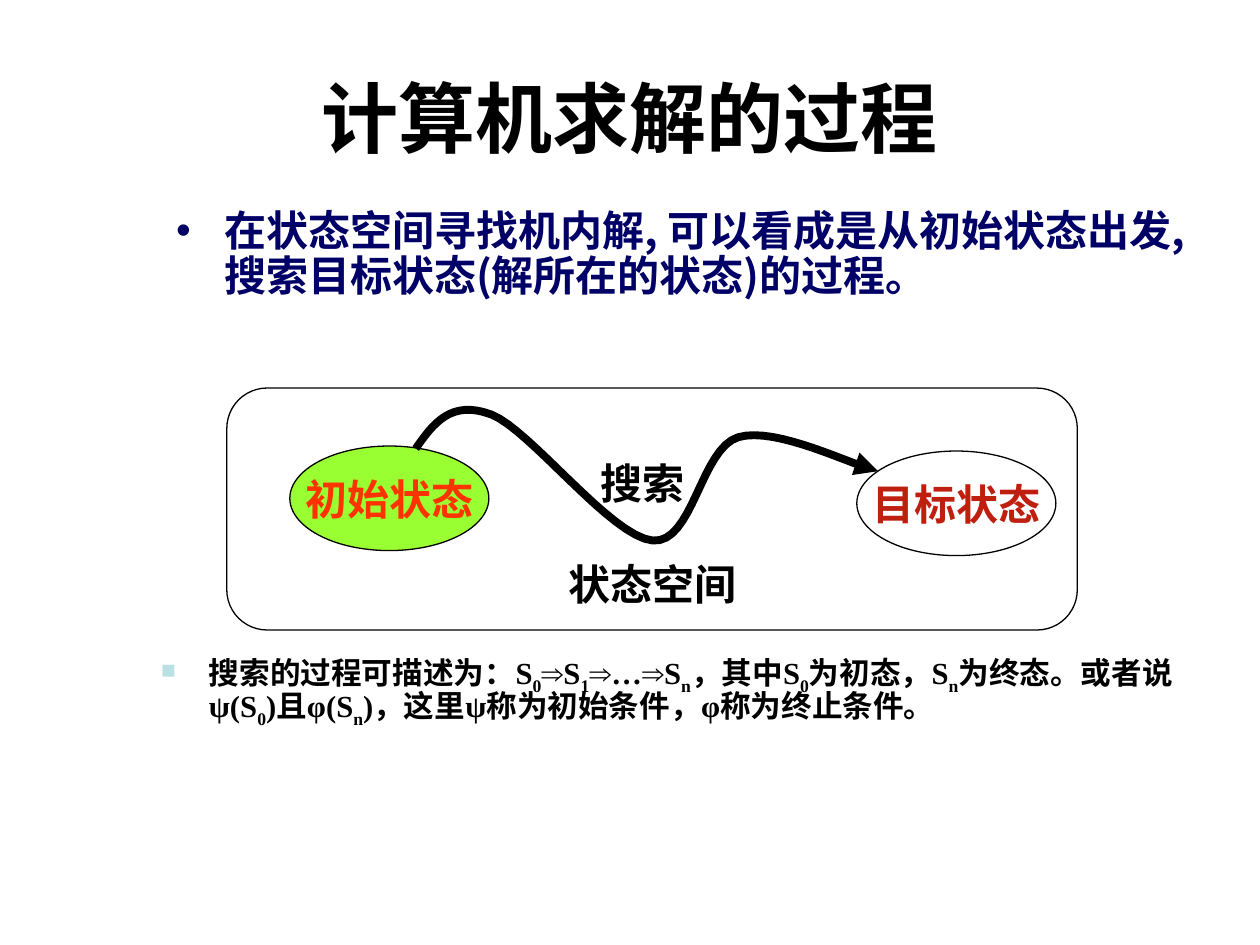
from lxml import etree
from pptx import Presentation
from pptx import util as u
from pptx.dml.color import RGBColor
from pptx.enum import shapes, text
from pptx.oxml import ns

BLACK = RGBColor(0x00, 0x00, 0x00)
WHITE = RGBColor(0xFF, 0xFF, 0xFF)
NAVY = RGBColor(0x00, 0x00, 0x66)
PALE_BLUE = RGBColor(0xBB, 0xE0, 0xE3)
GREEN = RGBColor(0x99, 0xFF, 0x33)
ORANGE_RED = RGBColor(0xFF, 0x33, 0x00)
DARK_RED = RGBColor(0xBE, 0x1F, 0x0E)

SANS, SERIF, CJK = "Arial", "Times New Roman", "Noto Sans CJK JP"
CENTER = text.PP_ALIGN.CENTER
MIDDLE = text.MSO_ANCHOR.MIDDLE


def add_xml(parent, tag, **attributes):
    return etree.SubElement(parent, ns.qn(tag), attributes)


def set_format(target, values):
    for name, value in values.items():
        setattr(target, name, value)


def add_run(paragraph, wording, size, color, font=SERIF, baseline=None):
    run = paragraph.add_run()
    run.text = wording
    set_format(run.font, {"name": font, "size": u.Pt(size), "bold": True})
    run.font.color.rgb = color
    properties = run.font._element
    add_xml(properties, "a:ea", typeface=CJK)
    if baseline:
        properties.set("baseline", str(baseline * 1000))


def add_bullet(paragraph, character, color, percent=100):
    properties = paragraph._p.get_or_add_pPr()
    properties.set("marL", str(u.Inches(0.38)))
    properties.set("indent", str(-u.Inches(0.38)))
    add_xml(add_xml(properties, "a:buClr"), "a:srgbClr", val=str(color))
    add_xml(properties, "a:buSzPct", val=str(percent * 1000))
    add_xml(properties, "a:buFont", typeface=SANS)
    add_xml(properties, "a:buChar", char=character)


def add_text_box(slide, box, **frame_format):
    frame = slide.shapes.add_textbox(*map(u.Inches, box)).text_frame
    set_format(frame, {"word_wrap": True, **frame_format})
    return frame.paragraphs[0]


def add_label_shape(slide, kind, box, wording, color, fill=None, **frame_format):
    shape = slide.shapes.add_shape(kind, *map(u.Inches, box))
    shape.shadow.inherit = False
    if fill is None:
        shape.fill.background()
    else:
        shape.fill.solid()
        shape.fill.fore_color.rgb = fill
    shape.line.color.rgb = BLACK
    shape.line.width = u.Pt(0.75)
    frame = shape.text_frame
    set_format(frame, {"word_wrap": False, "vertical_anchor": MIDDLE, **frame_format})
    frame.paragraphs[0].alignment = CENTER
    add_run(frame.paragraphs[0], wording, 24, color)
    return shape


def curve_points(start, segments, steps=16):
    """Points along a chain of cubic curves, after the start point."""
    for first, second, end in segments:
        for step in range(1, steps + 1):
            t = step / steps
            weights = ((1 - t) ** 3, 3 * t * (1 - t) ** 2, 3 * t * t * (1 - t), t ** 3)
            corners = (start, first, second, end)
            yield tuple(u.Inches(sum(w * c[axis] for w, c in zip(weights, corners)))
                        for axis in (0, 1))
        start = end


def add_search_path(slide, left, top):
    start = (left, top + 0.39)
    offsets = [
        ((0.14, 0.19), (0.28, 0), (0.6, 0.12)),
        ((0.91, 0.24), (1.55, 1.09), (1.88, 1.12)),
        ((2.2, 1.15), (2.26, 0.39), (2.56, 0.3)),
        ((2.86, 0.21), (3.48, 0.53), (3.67, 0.57)),
    ]
    segments = [[(left + x, top + y) for x, y in segment] for segment in offsets]
    builder = slide.shapes.build_freeform(*map(u.Inches, start))
    builder.add_line_segments(list(curve_points(start, segments)), close=False)
    shape = builder.convert_to_shape()
    shape.shadow.inherit = False
    shape.fill.background()
    shape.line.color.rgb = BLACK
    shape.line.width = u.Pt(4.5)
    line = shape.line._get_or_add_ln()
    add_xml(line, "a:round")
    add_xml(line, "a:tailEnd", type="triangle")


def add_title(slide, box):
    paragraph = add_text_box(slide, box, vertical_anchor=MIDDLE)
    paragraph.alignment = CENTER
    add_run(paragraph, "计算机求解的过程", 44, BLACK, SANS)


def add_statement(slide, box):
    paragraph = add_text_box(slide, box)
    add_bullet(paragraph, "•", NAVY)
    paragraph.line_spacing = 0.9
    add_run(paragraph, "在状态空间寻找机内解, 可以看成是从初始状态出发,搜索目标状态(解所在的状态)的过程",
            24, NAVY, CJK)
    add_run(paragraph, "。", 24, NAVY, SANS)


def add_state_space(slide, box):
    left, top, _, _ = box
    oval = shapes.MSO_SHAPE.OVAL
    # Outer space, labelled along its lower edge
    add_label_shape(slide, shapes.MSO_SHAPE.ROUNDED_RECTANGLE, box, "状态空间", BLACK,
                    vertical_anchor=text.MSO_ANCHOR.BOTTOM, margin_bottom=u.Inches(0.07))
    # Start state, search path and goal state
    add_label_shape(slide, oval, (left + 0.5, top + 0.46, 1.58, 0.83),
                    "初始状态", ORANGE_RED, GREEN)
    add_search_path(slide, left + 1.5, top + 0.09)
    add_label_shape(slide, oval, (left + 5, top + 0.5, 1.58, 0.83),
                    "目标状态", DARK_RED, WHITE)
    # Path label, wide enough to stay on one line
    label = add_text_box(slide, (left + 2.87, top + 0.5, 0.9, 0.5), word_wrap=False,
                         auto_size=text.MSO_AUTO_SIZE.SHAPE_TO_FIT_TEXT)
    add_run(label, "搜索", 24, BLACK)


def add_description(slide, box):
    paragraph = add_text_box(slide, box)
    add_bullet(paragraph, "■", PALE_BLUE, 80)
    paragraph.line_spacing = 0.8
    # Each piece is followed by its subscript, if it has one
    pieces = [("搜索的过程可描述为：S", "0"), ("⇒", ""), ("S", "1"), ("⇒", ""), ("…", ""),
              ("⇒", ""), ("S", "n"), ("，其中S", "0"), ("为初态，S", "n"),
              ("为终态。或者说ψ(S", "0"), (")且φ(S", "n"),
              (")，这里ψ称为初始条件，φ称为终止条件。", "")]
    for wording, subscript in pieces:
        add_run(paragraph, wording, 17.5, BLACK, SANS if wording == "⇒" else SERIF)
        if subscript:
            add_run(paragraph, subscript, 17.5, BLACK, baseline=-25)


def main():
    presentation = Presentation()
    set_format(presentation, {"slide_width": u.Inches(10), "slide_height": u.Inches(7.5)})
    slide = presentation.slides.add_slide(presentation.slide_layouts[6])
    add_title(slide, (0.5, 0.3, 9, 1.25))
    add_statement(slide, (1.3, 1.62, 8.19, 1.09))
    add_state_space(slide, (1.8, 3.08, 6.75, 1.92))
    add_description(slide, (1.18, 5.17, 8.5, 1.08))
    presentation.save("out.pptx")


if __name__ == "__main__":
    main()
